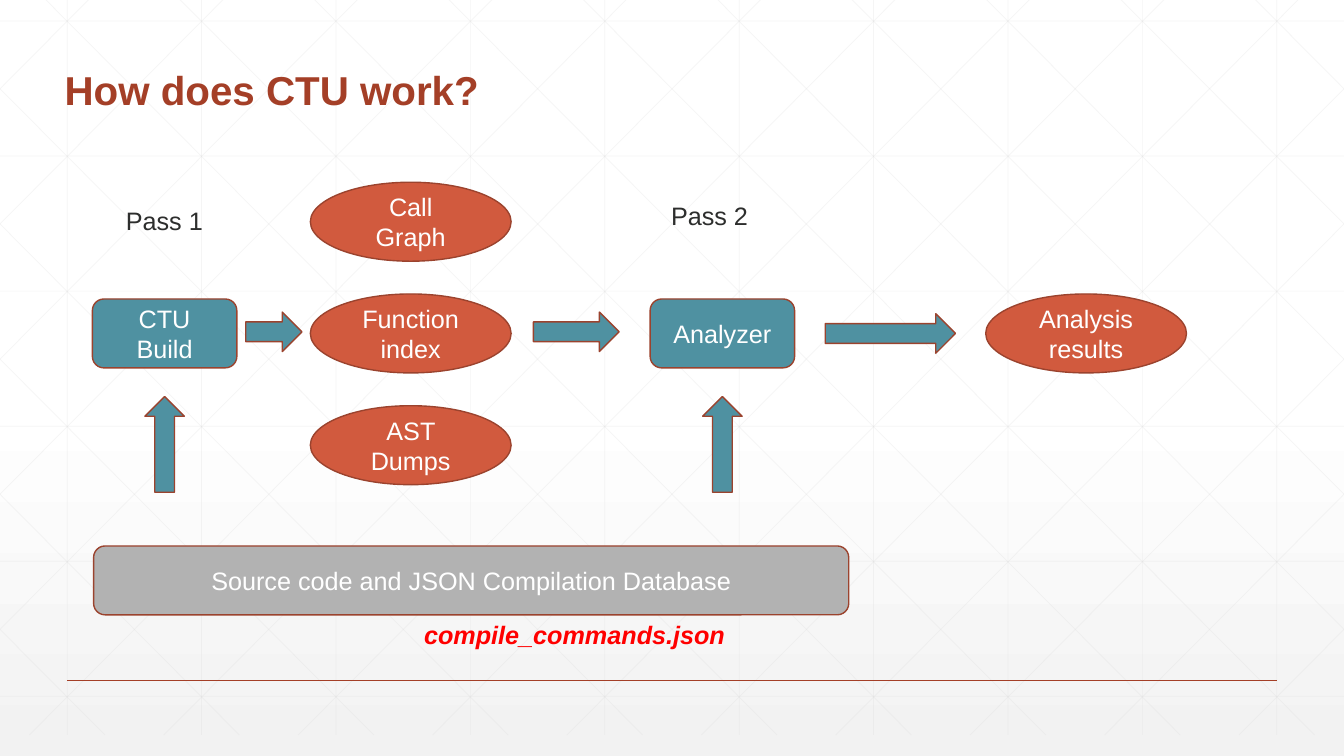
from copy import deepcopy
from dataclasses import dataclass

from lxml.etree import SubElement
from pptx import Presentation
from pptx.dml.color import RGBColor as Rgb
from pptx.enum.shapes import MSO_CONNECTOR as Connector, MSO_SHAPE as Shape
from pptx.enum.text import MSO_ANCHOR as Anchor, PP_ALIGN as Align
from pptx.oxml.ns import qn
from pptx.util import Inches, Pt

COLS, ROWS = 160, 90


@dataclass(frozen=True)
class Theme:
    font: str = "Arial"
    title_size: float = 28.8
    text_size: float = 18
    line_width: float = 1
    mesh_width: float = 0.5
    mesh_opacity: int = 25
    accent: str = "A43F27"
    outline: str = "9B432E"
    process: str = "4F91A1"
    product: str = "D15A3E"
    source: str = "B2B2B2"
    mesh: str = "D9D9D9"
    ink: str = "2D2E2D"
    light: str = "FFFFFF"
    alert: str = "FF0000"
    backdrop: tuple = ((0, "FFFFFF"), (0.53, "FFFFFF"), (1, "F2F2F2"))


class Board:
    """The current slide, its style and a 160 by 90 grid."""

    def __init__(self, prs, theme):
        self.theme = theme
        self.slide = prs.slides.add_slide(prs.slide_layouts[5])
        self.col, self.row = prs.slide_width / COLS, prs.slide_height / ROWS

    def box(self, left, top, width, height):
        return (round(left * self.col), round(top * self.row),
                round(width * self.col), round(height * self.row))

    def set_text(self, frame, text, color, size=None, align=Align.LEFT, **style):
        frame.text = text
        for paragraph in frame.paragraphs:
            paragraph.alignment = align
            for run in paragraph.runs:
                font = run.font
                font.name, font.size = self.theme.font, Pt(size or self.theme.text_size)
                font.color.rgb = Rgb.from_string(color)
                font.bold = style.get("bold", False)
                font.italic = style.get("italic", False)

    def background(self):
        fill = self.slide.background.fill
        fill.gradient()
        fill.gradient_angle = 270
        stops = self.slide.element.find(".//" + qn("a:gsLst"))
        stops.append(deepcopy(stops[0]))
        for stop, (position, color) in zip(fill.gradient_stops, self.theme.backdrop):
            stop.position, stop.color.rgb = position, Rgb.from_string(color)

    def rule(self, x1, y1, x2, y2, color, width, opacity=None):
        start, end = self.box(x1, y1, 0, 0)[:2], self.box(x2, y2, 0, 0)[:2]
        rule = self.slide.shapes.add_connector(Connector.STRAIGHT, *start, *end)
        rule.line.color.rgb, rule.line.width = Rgb.from_string(color), Pt(width)
        properties = rule.element.spPr
        if opacity is not None:
            paint = properties.find(".//" + qn("a:srgbClr"))
            SubElement(paint, qn("a:alpha")).set("val", str(opacity * 1000))
        SubElement(properties, qn("a:effectLst"))

    def mesh_line(self, x1, y1, x2, y2):
        theme = self.theme
        self.rule(x1, y1, x2, y2, theme.mesh, theme.mesh_width, theme.mesh_opacity)

    def title(self, text):
        heading = self.slide.shapes.title
        heading.left, heading.top, heading.width, heading.height = self.box(6.5, 4, 126, 15.7)
        heading.element.getparent().append(heading.element)  # in front of the mesh
        frame = heading.text_frame
        frame.word_wrap, frame.vertical_anchor = True, Anchor.MIDDLE
        frame.margin_bottom = Inches(0.2)
        self.set_text(frame, text, self.theme.accent, self.theme.title_size, bold=True)
        frame.paragraphs[0].line_spacing = 0.9

    def node(self, kind, x, y, width, height, fill, text="", turn=0):
        """Place a shape by its centre."""
        node = self.slide.shapes.add_shape(
            kind, *self.box(x - width / 2, y - height / 2, width, height))
        node.shadow.inherit = False
        node.rotation = turn
        node.fill.solid()
        node.fill.fore_color.rgb = Rgb.from_string(fill)
        node.line.color.rgb = Rgb.from_string(self.theme.outline)
        node.line.width = Pt(self.theme.line_width)
        if text:
            node.text_frame.word_wrap = True
            node.text_frame.vertical_anchor = Anchor.MIDDLE
            self.set_text(node.text_frame, text, self.theme.light, align=Align.CENTER)

    def process(self, x, y, text):
        self.node(Shape.ROUNDED_RECTANGLE, x, y, 17.2, 8.2, self.theme.process, text)

    def product(self, x, y, text):
        self.node(Shape.OVAL, x, y, 23.9, 9.4, self.theme.product, text)

    def arrow(self, x, y, length, turn=0):
        self.node(Shape.UP_ARROW, x, y, 4.7, length, self.theme.process, turn=turn)

    def label(self, x, y, width, text, color, **style):
        label = self.slide.shapes.add_textbox(*self.box(x, y, width, 4.8))
        label.text_frame.word_wrap = False
        self.set_text(label.text_frame, text, color, **style)


prs = Presentation()
prs.slide_width, prs.slide_height = Inches(13.33), Inches(7.5)
theme = Theme()
board = Board(prs, theme)
board.background()

# Background mesh: verticals, horizontals, then mirrored diagonals cut at the sides
MESH_TOP, MESH_BOTTOM, STEP = -2.5, 87.5, 16
SPAN = 89.5
for k in range(10):
    board.mesh_line(8 + k * STEP, MESH_TOP, 8 + k * STEP, MESH_BOTTOM)
for k in range(6):
    y = 2.5 + k * 16.08
    board.mesh_line(0, y, COLS, y)
slope = (MESH_BOTTOM - MESH_TOP) / SPAN
for k in range(-5, 10):
    start = 3 + k * STEP
    x1, x2 = max(start, 0), min(start + SPAN, COLS)
    y1, y2 = (MESH_TOP + (x - start) * slope for x in (x1, x2))
    board.mesh_line(x1, y1, x2, y2)
    board.mesh_line(COLS - x1, y1, COLS - x2, y2)
board.rule(8, 81, 152, 81, theme.accent, theme.line_width)

board.title("How does CTU work?")

# Two passes, with the products of the first one stacked around the flow line
BUILD_X, PRODUCTS_X, ANALYZER_X, RESULTS_X = 19.6, 48.9, 86, 129.3
FLOW_Y, PRODUCT_GAP = 39.7, 13.3
board.process(BUILD_X, FLOW_Y, "CTU\nBuild")
for place, product in enumerate(("Call\nGraph", "Function index", "AST Dumps"), start=-1):
    board.product(PRODUCTS_X, FLOW_Y + place * PRODUCT_GAP, product)
board.process(ANALYZER_X, FLOW_Y, "Analyzer")
board.product(RESULTS_X, FLOW_Y, "Analysis results")

# Shared input
board.node(Shape.ROUNDED_RECTANGLE, 56.1, 69.1, 89.9, 8.2, theme.source,
           "Source code and JSON Compilation Database")

# Arrows: input upwards, flow to the right
for pass_x in (BUILD_X, ANALYZER_X):
    board.arrow(pass_x, 52.9, 11.4)
for x, y, length in ((32.6, 39.5, 6.7), (68.6, 39.5, 10.2), (106, 39.7, 15.5)):
    board.arrow(x, y, length, turn=90)

# Captions
board.label(13.8, 23.9, 11.6, "Pass 1", theme.ink)
board.label(78.7, 23.2, 11.6, "Pass 2", theme.ink)
board.label(49.3, 73.1, 38.6, "compile_commands.json", theme.alert, bold=True, italic=True)

prs.save("out.pptx")
